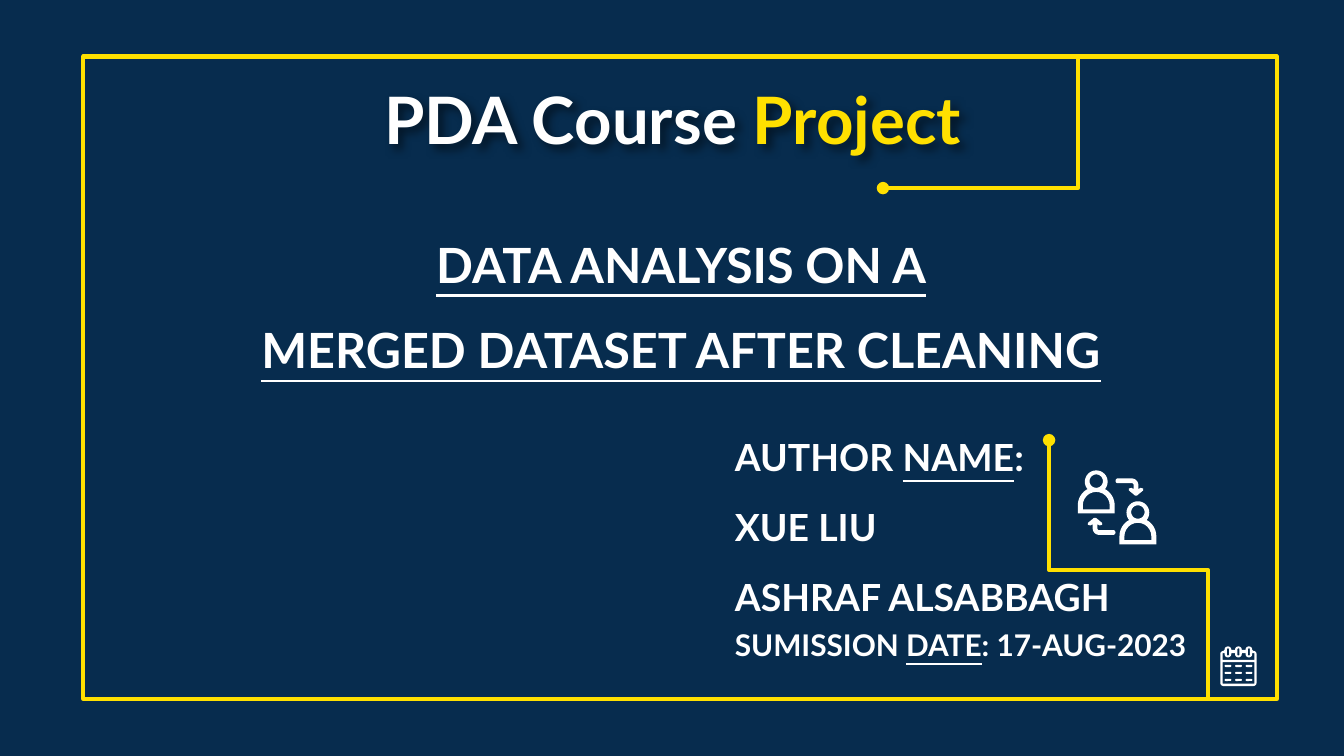
from dataclasses import dataclass
from math import cos, radians, sin

from lxml.etree import SubElement
from pptx import Presentation
from pptx.dml.color import RGBColor as Rgb
from pptx.enum.shapes import MSO_CONNECTOR as Connector, MSO_SHAPE as Shape
from pptx.enum.text import MSO_ANCHOR as Anchor, MSO_AUTO_SIZE as AutoSize, PP_ALIGN as Align
from pptx.oxml.ns import qn
from pptx.util import Inches, Pt

WIDTH = Inches(10)
HEIGHT = WIDTH * 9 // 16
COLUMNS = 100


@dataclass(frozen=True)
class Theme:
    navy: Rgb = Rgb(0x07, 0x2C, 0x4E)
    yellow: Rgb = Rgb(0xFF, 0xE0, 0x00)
    white: Rgb = Rgb(0xFF, 0xFF, 0xFF)
    font: str = "Lato"
    title: int = 35
    topic: int = 26
    authors: int = 20
    date: int = 16
    stroke: float = 2.25


THEME = Theme()


def cells(count):
    return round(count * WIDTH / COLUMNS)


def apply(target, formats):
    for name, value in formats.items():
        setattr(target, name, value)


def child(parent, tag, **attributes):
    return SubElement(parent, qn(tag), attributes)


def paint(part, color):
    part.fill.solid()
    part.fill.fore_color.rgb = color


def place(holder, left, top, width, height):
    apply(holder, dict(left=cells(left), top=cells(top),
                       width=cells(width), height=cells(height)))


def write(holder, paragraphs, size, indent=1.5, spacing=1.15, align=Align.LEFT):
    frame = holder.text_frame
    margins = {f"margin_{side}": cells(1) for side in ("left", "top", "right", "bottom")}
    apply(frame, dict(word_wrap=True, auto_size=AutoSize.NONE,
                      vertical_anchor=Anchor.TOP, **margins))
    for index, runs in enumerate(paragraphs):
        paragraph = frame.add_paragraph() if index else frame.paragraphs[0]
        apply(paragraph, dict(alignment=align, line_spacing=spacing,
                              space_before=Pt(10 if index else 0)))
        apply_indent = dict(marL=str(cells(indent)), indent="0")
        for name, value in apply_indent.items():
            paragraph._p.get_or_add_pPr().set(name, value)
        for text, color, underline in runs:
            run = paragraph.add_run()
            run.text = text
            apply(run.font, dict(name=THEME.font, size=Pt(size), bold=True, underline=underline))
            run.font.color.rgb = color


def plain(text):
    return text, THEME.white, False


def underlined(text):
    return text, THEME.white, True


def add_text(slide, box, paragraphs, size):
    write(slide.shapes.add_textbox(*map(cells, box)), paragraphs, size)


def cast_shadow(holder):
    effects = child(holder._element.spPr, "a:effectLst")
    shadow = child(effects, "a:outerShdw", blurRad="57150", dist="38100", dir="2700000")
    child(child(shadow, "a:srgbClr", val="000000"), "a:alpha", val="50000")


def add_border(slide):
    border = slide.shapes.add_shape(Shape.RECTANGLE, *map(cells, (6.2, 4.2, 88.8, 47.8)))
    border.shadow.inherit = False
    paint(border, THEME.navy)
    child(border._element.spPr.find(".//" + qn("a:srgbClr")), "a:alpha", val="91000")
    border.line.color.rgb = THEME.yellow
    border.line.width = Pt(THEME.stroke)
    slide.shapes._spTree.insert(2, border._element)


def add_elbow(slide, begin, end, rotation=0):
    elbow = slide.shapes.add_connector(Connector.ELBOW, *map(cells, begin + end))
    elbow.line.color.rgb = THEME.yellow
    elbow.line.width = Pt(THEME.stroke)
    properties = elbow._element.spPr
    if rotation:
        properties.find(qn("a:xfrm")).set("rot", str(rotation * 60000))
    outline = properties.find(qn("a:ln"))
    child(outline, "a:round")
    child(outline, "a:headEnd", type="oval")
    child(properties, "a:effectLst")


def arc(x, y, radius, start, end, steps=12):
    angles = (radians(start + (end - start) * step / steps) for step in range(steps + 1))
    return [(x + radius * cos(angle), y + radius * sin(angle)) for angle in angles]


def finish_icon(part):
    part.shadow.inherit = False
    paint(part, THEME.white)
    part.line.fill.background()


def add_outline(group, left, top, contours):
    scaled = [[(cells(left + x), cells(top + y)) for x, y in contour] for contour in contours]
    builder = group.shapes.build_freeform(*scaled[0][0])
    for index, contour in enumerate(scaled):
        if index:
            builder.move_to(*contour[0])
        builder.add_line_segments(contour[1:], close=True)
    finish_icon(builder.convert_to_shape())


def add_person(group, left, top):
    face = arc(1.37, 0.8, 0.5, 0, 360, 24)
    chest = arc(1.37, 2.6, 1, 180, 360) + [(2.37, 2.9), (0.37, 2.9)]
    silhouette = (arc(1.37, 0.85, 0.85, 135, 405, 24) + arc(1.37, 2.6, 1.37, 297, 360)
                  + [(2.74, 3.2), (0, 3.2)] + arc(1.37, 2.6, 1.37, 180, 243))
    add_outline(group, left, top, [face, chest, silhouette])


def add_swap_arrow(group, left, top, turned=False):
    hook = (arc(0.18, 0.18, 0.18, 90, 270) + arc(1.2, 0.5, 0.5, 270, 360)
            + [(1.7, 0.8), (1.85, 0.7), (2.05, 0.75), (2.05, 0.9), (1.6, 1.27), (1.45, 1.27),
               (1, 0.9), (1, 0.75), (1.2, 0.7), (1.35, 0.8)]
            + arc(1.2, 0.5, 0.15, 0, -90))
    if turned:
        hook = [(2.1 - x, 1.3 - y) for x, y in hook]
    add_outline(group, left, top, [hook])


def add_people(slide):
    group = slide.shapes.add_group_shape()
    add_swap_arrow(group, 83, 35.6)
    add_swap_arrow(group, 80.9, 38.5, turned=True)
    for left, top in ((80.2, 35), (83.3, 37.3)):
        add_person(group, left, top)


def add_calendar(slide, left, top):
    group = slide.shapes.add_group_shape()
    rings = [0.57 + 0.78 * ring for ring in range(3)]
    bumps = [point for x in rings for point in arc(x, 0.25, 0.25, 180, 360)]
    dips = [point for x in reversed(rings) for point in
            [(x + 0.25, 0.5)] + arc(x, 0.57, 0.25, 0, 180) + [(x - 0.25, 0.5)]]
    cover = (arc(0.25, 0.58, 0.25, 180, 270) + bumps + arc(2.45, 0.58, 0.25, 270, 360)
             + arc(2.45, 2.7, 0.25, 0, 90) + arc(0.25, 2.7, 0.25, 90, 180))
    header = [(0.17, 1), (2.53, 1), (2.53, 0.5)] + dips + [(0.17, 0.5)]
    page = [(0.17, 1.17), (2.53, 1.17), (2.53, 2.77), (0.17, 2.77)]
    slots = [arc(x, 0.22, 0.08, 180, 360) + arc(x, 0.6, 0.08, 0, 180) for x in rings]
    add_outline(group, left, top, [cover, header, page, *slots])
    for row in range(3):
        for column in range(3):
            day = group.shapes.add_shape(
                Shape.ROUNDED_RECTANGLE, cells(left + 0.32 + 0.78 * column),
                cells(top + 1.37 + 0.52 * row), cells(0.5), cells(0.16))
            day.adjustments[0] = 0.5
            finish_icon(day)


def main():
    deck = Presentation()
    apply(deck, dict(slide_width=WIDTH, slide_height=HEIGHT))
    slide = deck.slides.add_slide(deck.slide_layouts[0])
    paint(slide.background, THEME.navy)
    heading, topic = slide.placeholders

    place(heading, 7.9, 4.9, 84.3, 6.3)
    write(heading, [[plain("PDA Course "), ("Project", THEME.yellow, False)]],
          THEME.title, indent=0, spacing=1, align=Align.CENTER)
    cast_shadow(heading)
    place(topic, 7.8, 15.8, 84.3, 12.3)
    write(topic, [[underlined("DATA ANALYSIS ON A")],
                  [underlined("MERGED DATASET AFTER CLEANING")]],
          THEME.topic, align=Align.CENTER)

    add_border(slide)
    add_elbow(slide, (93.6, 36.5), (74.3, 48.3), rotation=270)
    add_elbow(slide, (65.7, 14), (94.7, 4.2))
    add_calendar(slide, 90.8, 48.1)
    add_text(slide, (52.2, 45.2, 37.7, 5.5),
             [[plain("SUMISSION "), underlined("DATE"), plain(": 17-AUG-2023")]], THEME.date)
    add_text(slide, (52.2, 30.8, 54.7, 17.3),
             [[plain("AUTHOR "), underlined("NAME"), plain(":")],
              [plain("XUE LIU")], [plain("ASHRAF ALSABBAGH")]], THEME.authors)
    add_people(slide)
    deck.save("out.pptx")


if __name__ == "__main__":
    main()
